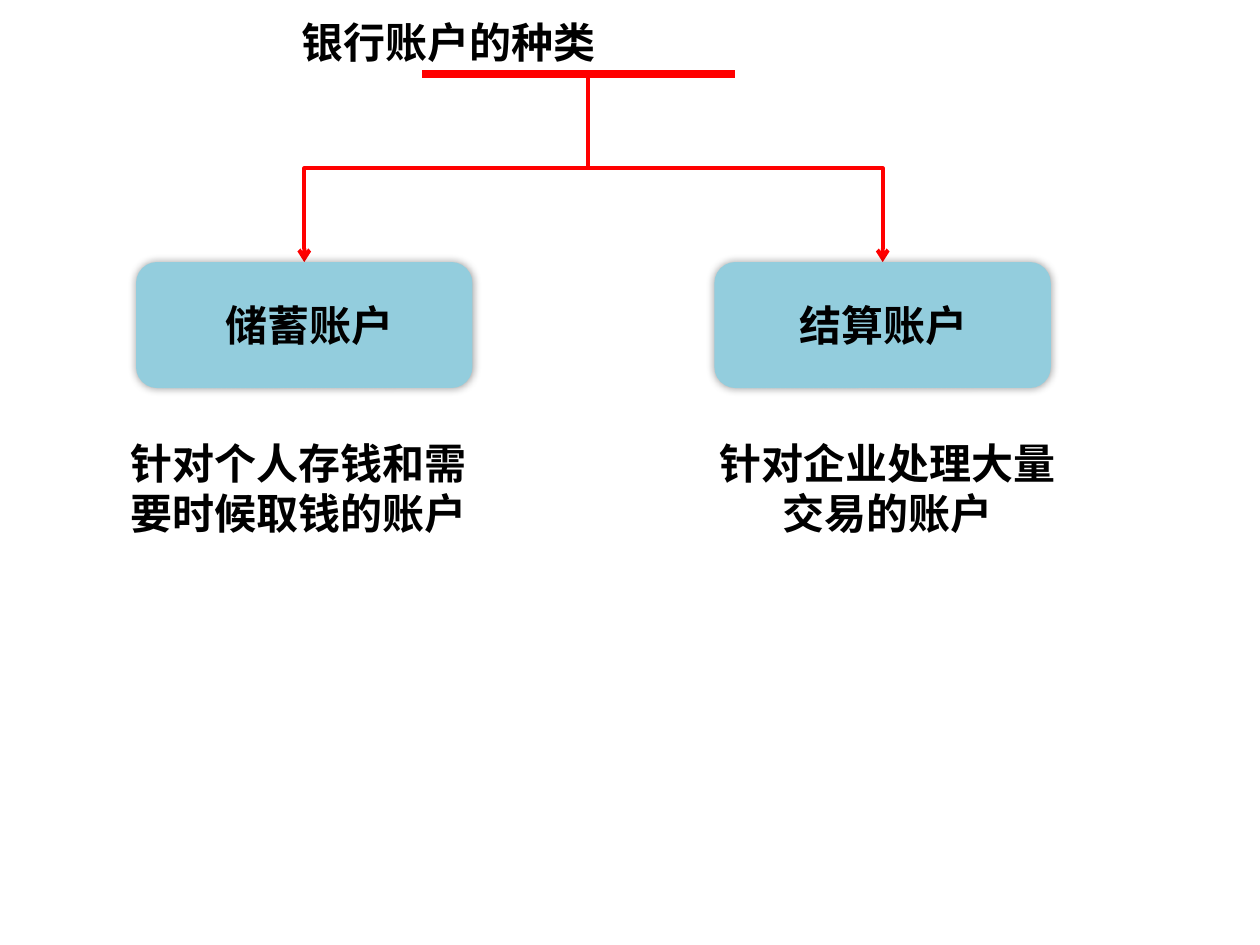
import pptx
import pptx.dml.color
import pptx.enum.shapes
import pptx.enum.text
import pptx.oxml
import pptx.oxml.ns
import pptx.util
from lxml import etree
from pptx.util import Inches

COLORS = {"text": "000000", "line": "FF0000", "box": "93CDDD", "shadow": "000000"}
FONT = "Noto Sans CJK SC"
TRUNK_X, TRUNK_Y = 4.67, 0.59
BOX_TOP, BOX_WIDTH, BOX_HEIGHT = 2.08, 2.67, 1

# Box left, label left, label width, label, description left, description
ACCOUNTS = [
    (1.08, 1.69, 1.56, "储蓄账户", 0.83, "针对个人存钱和需要时候取钱的账户"),
    (5.67, 6.25, 1.58, "结算账户", 5.5, "针对企业处理大量交易的账户"),
]


def rgb(name):
    return pptx.dml.color.RGBColor.from_string(COLORS[name])


def add_effects(shape, content=""):
    namespace = pptx.oxml.ns.nsdecls("a")
    effects = pptx.oxml.parse_xml(f"<a:effectLst {namespace}>{content}</a:effectLst>")
    shape._element.spPr.append(effects)


def add_text(shapes, left, top, width, height, text, centered=False, inset=0.1):
    box = shapes.add_textbox(Inches(left), Inches(top), Inches(width), Inches(height))
    frame = box.text_frame
    frame.word_wrap = True
    frame.auto_size = pptx.enum.text.MSO_AUTO_SIZE.SHAPE_TO_FIT_TEXT
    frame.margin_left = Inches(inset)
    paragraph = frame.paragraphs[0]
    if centered:
        paragraph.alignment = pptx.enum.text.PP_ALIGN.CENTER
    run = paragraph.add_run()
    run.text = text
    run.font.name = FONT
    run.font.size = pptx.util.Pt(24)
    run.font.bold = True
    run.font.color.rgb = rgb("text")
    # East Asian characters take their own typeface
    east_asian = etree.SubElement(run.font._element, pptx.oxml.ns.qn("a:ea"))
    east_asian.set("typeface", FONT)


def add_line(slide, kind, start, end, weight):
    points = [Inches(value) for value in (*start, *end)]
    connector = slide.shapes.add_connector(kind, *points)
    connector.line.color.rgb = rgb("line")
    connector.line.width = pptx.util.Pt(weight)
    add_effects(connector)
    return connector


def add_branch(slide, target_x):
    """Elbow arrow that leaves the trunk downwards: a quarter-turned connector."""
    center_x, center_y = (TRUNK_X + target_x) / 2, (TRUNK_Y + BOX_TOP) / 2
    half_drop, half_reach = (BOX_TOP - TRUNK_Y) / 2, abs(target_x - TRUNK_X) / 2
    side = -1 if target_x < TRUNK_X else 1
    connector = add_line(
        slide, pptx.enum.shapes.MSO_CONNECTOR.ELBOW,
        (center_x + side * half_drop, center_y - half_reach),
        (center_x - side * half_drop, center_y + half_reach), 2.25)
    turn = 90 if side < 0 else 270
    connector._element.spPr.find(pptx.oxml.ns.qn("a:xfrm")).set("rot", str(turn * 60000))
    arrowhead = etree.SubElement(connector.line._get_or_add_ln(), pptx.oxml.ns.qn("a:tailEnd"))
    arrowhead.set("type", "arrow")


def add_account_box(slide, left, label_left, label_width, label):
    group = slide.shapes.add_group_shape()
    box = group.shapes.add_shape(
        pptx.enum.shapes.MSO_SHAPE.ROUNDED_RECTANGLE,
        Inches(left), Inches(BOX_TOP), Inches(BOX_WIDTH), Inches(BOX_HEIGHT))
    box.fill.solid()
    box.fill.fore_color.rgb = rgb("box")
    box.line.fill.background()
    add_effects(box, f'<a:outerShdw blurRad="{pptx.util.Pt(5)}" dist="0" dir="0">'
                     f'<a:srgbClr val="{COLORS["shadow"]}"><a:alpha val="40000"/></a:srgbClr>'
                     '</a:outerShdw>')
    add_text(group.shapes, label_left, BOX_TOP + 0.25, label_width, 0.5, label)


def main():
    presentation = pptx.Presentation()
    presentation.slide_width, presentation.slide_height = Inches(10), Inches(7.5)
    slide = presentation.slides.add_slide(presentation.slide_layouts[6])

    # Title and its underline
    add_text(slide.shapes, 0.17, 0.08, 9, 0.5, "银行账户的种类", inset=2.22)
    add_line(slide, pptx.enum.shapes.MSO_CONNECTOR.STRAIGHT,
             (3.35, TRUNK_Y), (5.83, TRUNK_Y), 4.5)

    # Branches to the middle of each box
    for left, *_ in ACCOUNTS:
        add_branch(slide, left + BOX_WIDTH / 2)

    # Account boxes, then their descriptions
    for left, label_left, label_width, label, *_ in ACCOUNTS:
        add_account_box(slide, left, label_left, label_width, label)
    for *_, description_left, description in ACCOUNTS:
        add_text(slide.shapes, description_left, 3.42, 3.08, 0.91, description, centered=True)

    presentation.save("out.pptx")


if __name__ == "__main__":
    main()
